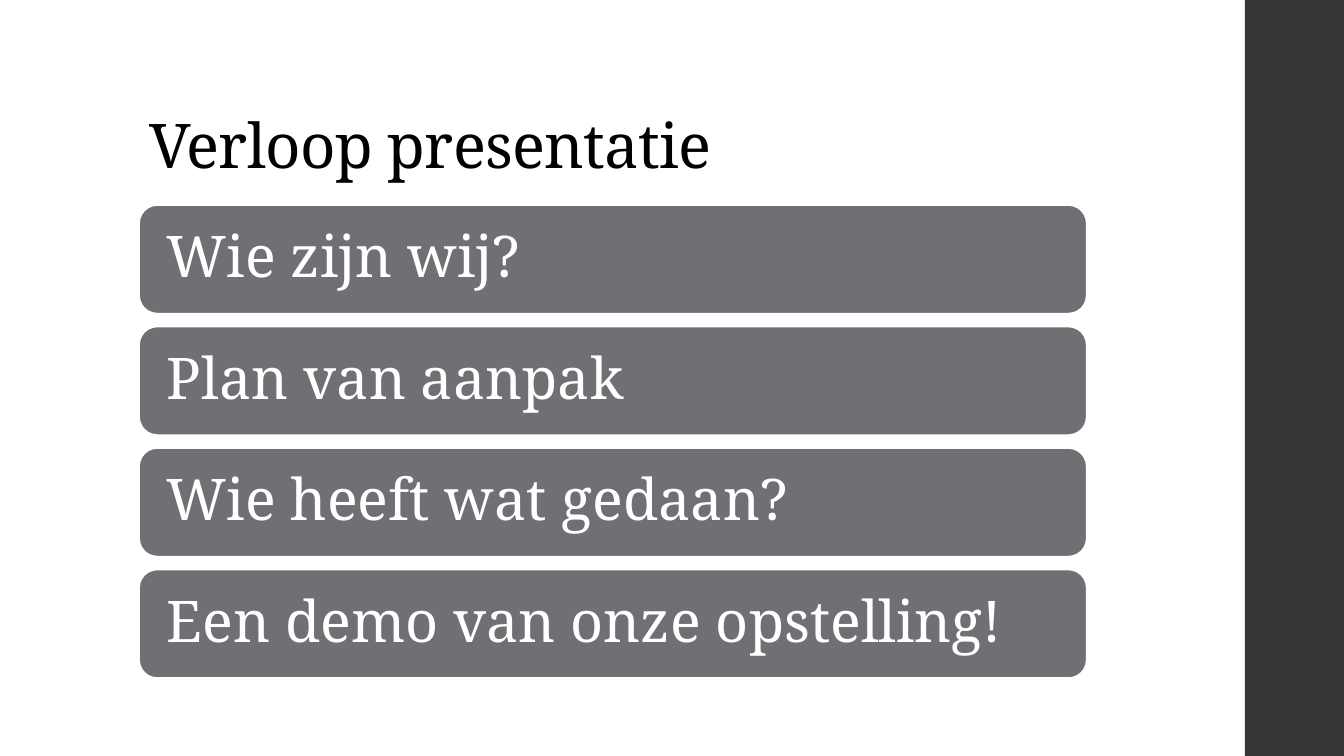
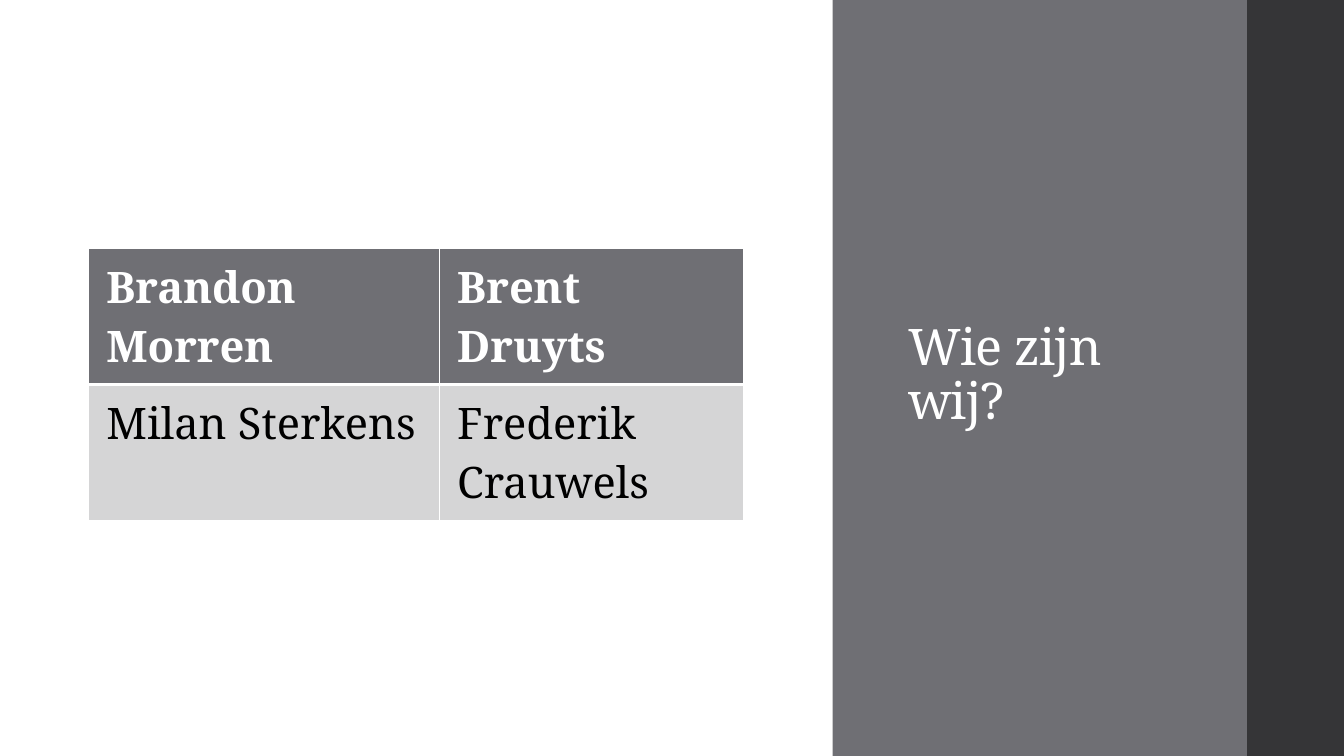
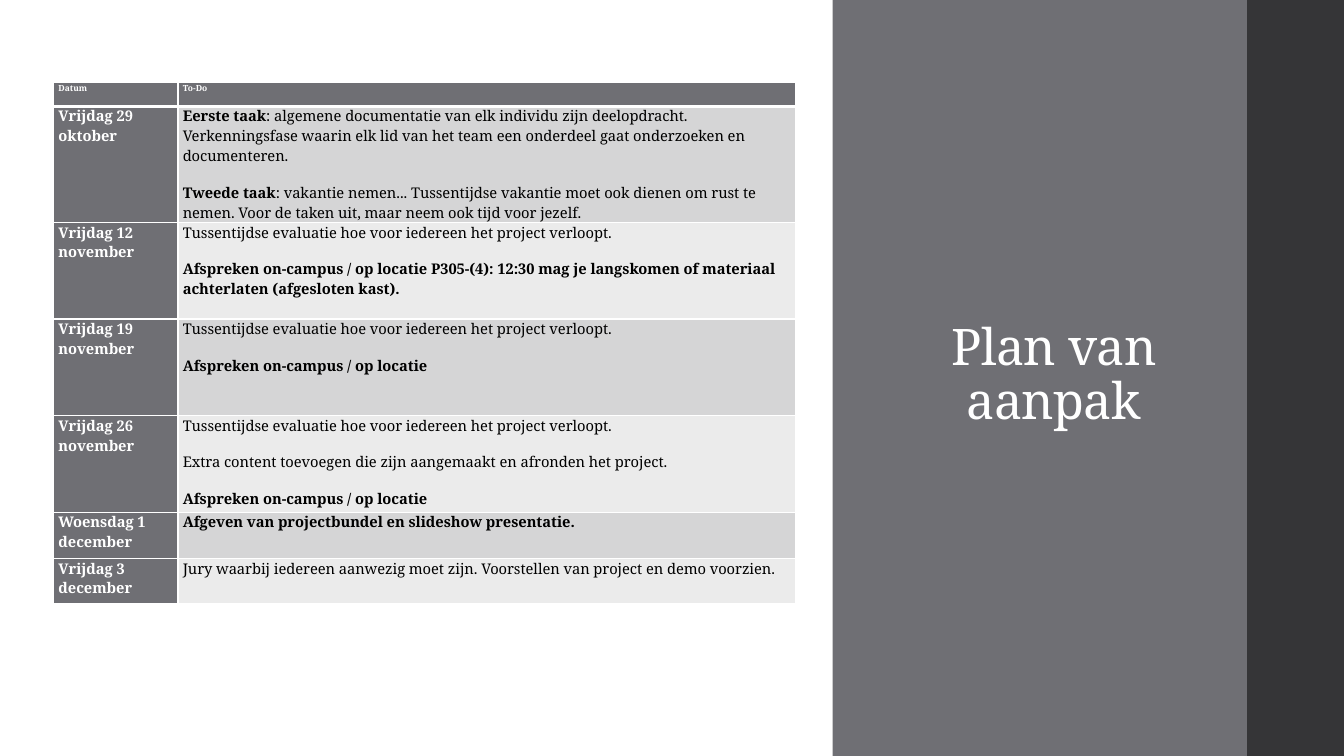
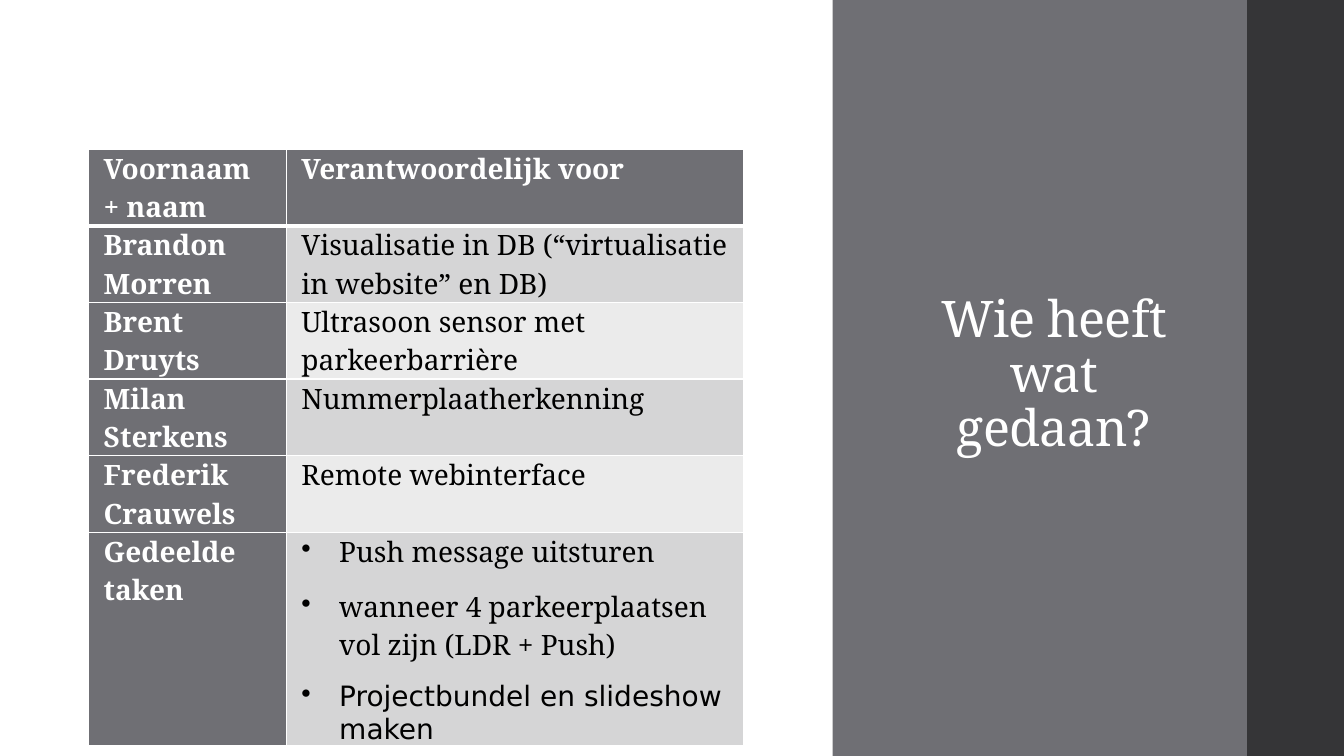
from dataclasses import dataclass

from lxml.etree import SubElement
from pptx import Presentation
from pptx.dml.color import RGBColor
from pptx.enum.shapes import MSO_SHAPE
from pptx.enum.text import MSO_ANCHOR, MSO_AUTO_SIZE, PP_ALIGN
from pptx.oxml import parse_xml
from pptx.oxml.ns import nsdecls, qn
from pptx.util import Pt

# Shared look
WIDTH, HEIGHT = 960, 540
WHITE, BLACK = "FFFFFF", "000000"
DARK, ACCENT = "353537", "6F6F74"
BANDS = ("EBEBEB", "D5D5D6")
SERIF, SANS = "Noto Serif", "DejaVu Sans"
EDGE_LEFT = 889.2
PANEL = (594.7, 0, 296, HEIGHT)
PANEL_TITLE = (641.5, 63.4, 222.5, 410.4)


@dataclass
class Run:
    text: str
    bold: bool = False
    font: str = SERIF


@dataclass
class Paragraph:
    runs: list
    bullet: bool = False


def plain(text):
    return Paragraph([Run(text)])


def bold(text):
    return Paragraph([Run(text, bold=True)])


def bullet(text, font=SERIF):
    return Paragraph([Run(text, font=font)], bullet=True)


def task(name, description):
    return Paragraph([Run(name, bold=True), Run(description)])


def color(hex_string):
    return RGBColor.from_string(hex_string)


def points(*lengths):
    return [Pt(length) for length in lengths]


def add_run(paragraph, text, size, ink, is_bold=False, font=SERIF):
    run = paragraph.add_run()
    run.text = text
    run.font.size, run.font.name, run.font.bold = Pt(size), font, is_bold
    run.font.color.rgb = color(ink)
    return run


def add_block(shapes, kind, box, fill):
    block = shapes.add_shape(kind, *points(*box))
    block.shadow.inherit = False
    block.fill.solid()
    block.fill.fore_color.rgb = color(fill)
    block.line.fill.background()
    return block


def send_to_back(shapes, block):
    # The first two children of a shape tree are its own properties
    shapes.element.insert(2, block.element)


def set_title(slide, text, box, size, ink, anchor, align=PP_ALIGN.LEFT):
    title = slide.shapes.title
    title.left, title.top, title.width, title.height = points(*box)
    frame = title.text_frame
    frame.word_wrap = True
    frame.auto_size = MSO_AUTO_SIZE.NONE
    frame.vertical_anchor = anchor
    heading = frame.paragraphs[0]
    heading.alignment, heading.line_spacing = align, 0.9
    run = add_run(heading, text, size, ink)
    run._r.get_or_add_rPr().set("spc", "-50")


def add_agenda(slide, box, topics, gap):
    """Stack equal rounded bars, one for each topic."""
    left, top, width, height = box
    bar_height = (height - gap * (len(topics) - 1)) / len(topics)
    for row, topic in enumerate(topics):
        bar_box = (left, top + row * (bar_height + gap), width, bar_height)
        bar = add_block(slide.shapes, MSO_SHAPE.ROUNDED_RECTANGLE, bar_box, ACCENT)
        bar.line.color.rgb = color(WHITE)
        bar.line.width = Pt(1.1)
        frame = bar.text_frame
        frame.word_wrap = True
        frame.vertical_anchor = MSO_ANCHOR.MIDDLE
        frame.margin_left = frame.margin_right = Pt(16)
        line = frame.paragraphs[0]
        line.alignment, line.line_spacing = PP_ALIGN.LEFT, 0.9
        add_run(line, topic, 41, WHITE)


def add_title_panel(slide, text, align):
    panel = add_block(slide.shapes, MSO_SHAPE.RECTANGLE, PANEL, ACCENT)
    send_to_back(slide.shapes, panel)
    set_title(slide, text, PANEL_TITLE, 36, WHITE, MSO_ANCHOR.MIDDLE, align)


def set_borders(cell, top, bottom):
    properties = cell._tc.get_or_add_tcPr()
    widths = {"lnL": 1, "lnR": 1, "lnT": top, "lnB": bottom}
    for position, (side, width) in enumerate(widths.items()):
        properties.insert(position, parse_xml(
            f'<a:{side} {nsdecls("a")} w="{Pt(width)}"><a:solidFill>'
            f'<a:srgbClr val="{WHITE}"/></a:solidFill></a:{side}>'))


def fill_cell(cell, paragraphs, size, ink, space_after):
    frame = cell.text_frame
    for index, content in enumerate(paragraphs):
        line = frame.add_paragraph() if index else frame.paragraphs[0]
        line.space_after = Pt(space_after)
        if content.bullet:
            properties = line._p.get_or_add_pPr()
            properties.set("marL", str(Pt(27)))
            properties.set("indent", str(Pt(-27)))
            SubElement(properties, qn("a:buChar")).set("char", "•")
        for run in content.runs:
            add_run(line, run.text, size, ink, run.bold, run.font)


def add_grid(slide, origin, columns, heights, rows, size, margins,
             header_size=None, labels=True, space_after=12):
    """Place a table with a dark header row and, if asked, a dark label column."""
    grid = slide.shapes.add_table(
        len(rows), len(columns),
        *points(*origin, sum(columns), sum(heights))).table
    grid.horz_banding = False
    for column, width in zip(grid.columns, columns):
        column.width = Pt(width)
    for r, (height, contents) in enumerate(zip(heights, rows)):
        grid.rows[r].height = Pt(height)
        for c, paragraphs in enumerate(contents):
            dark = r == 0 or (labels and c == 0)
            cell = grid.cell(r, c)
            cell.margin_left = cell.margin_right = Pt(margins[0])
            cell.margin_top = cell.margin_bottom = Pt(margins[1])
            cell.fill.solid()
            cell.fill.fore_color.rgb = color(ACCENT if dark else BANDS[r % 2])
            set_borders(cell, top=3 if r == 1 else 1, bottom=3 if r == 0 else 1)
            text_size = header_size if header_size and r == 0 else size
            fill_cell(cell, paragraphs, text_size, WHITE if dark else BLACK, space_after)


def agenda_slide(slide):
    set_title(slide, "Verloop presentatie", (99.4, 28.8, 763.2, 104.4), 44, BLACK,
              MSO_ANCHOR.BOTTOM)
    add_agenda(slide, (99.4, 146.5, 676.8, 337.8),
               ["Wie zijn wij?", "Plan van aanpak", "Wie heeft wat gedaan?",
                "Een demo van onze opstelling!"], gap=9.3)


def team_slide(slide):
    add_title_panel(slide, "Wie zijn wij?", PP_ALIGN.LEFT)
    members = [
        [[bold("Brandon Morren")], [bold("Brent Druyts")]],
        [[plain("Milan Sterkens")], [plain("Frederik Crauwels")]],
    ]
    add_grid(slide, (63.4, 177.5), [250.6, 217.4], [93, 93], members, 31,
             margins=(12.6, 6.3), labels=False, space_after=0)


def planning_slide(slide):
    add_title_panel(slide, "Plan van aanpak", PP_ALIGN.CENTER)
    evaluation = plain("Tussentijdse evaluatie hoe voor iedereen het project verloopt.")
    meeting = "Afspreken on-campus / op locatie"
    planning = [
        ("Datum", [bold("To-Do")]),
        ("Vrijdag 29 oktober", [
            task("Eerste taak", ": algemene documentatie van elk individu zijn "
                 "deelopdracht. Verkenningsfase waarin elk lid van het team een "
                 "onderdeel gaat onderzoeken en documenteren."),
            task("Tweede taak", ": vakantie nemen... Tussentijdse vakantie moet ook "
                 "dienen om rust te nemen. Voor de taken uit, maar neem ook tijd "
                 "voor jezelf.")]),
        ("Vrijdag 12 november", [
            evaluation,
            bold(meeting + " P305-(4): 12:30 mag je langskomen of materiaal "
                 "achterlaten (afgesloten kast).")]),
        ("Vrijdag 19 november", [evaluation, bold(meeting)]),
        ("Vrijdag 26 november", [
            evaluation,
            plain("Extra content toevoegen die zijn aangemaakt en afronden het project."),
            bold(meeting)]),
        ("Woensdag 1 december", [
            bold("Afgeven van projectbundel en slideshow presentatie.")]),
        ("Vrijdag 3 december", [
            plain("Jury waarbij iedereen aanwezig moet zijn. Voorstellen van project "
                  "en demo voorzien.")]),
    ]
    add_grid(slide, (38.4, 59), [88.8, 440.8], [17, *[69] * 4, 33, 32.6],
             [[[bold(date)], todo] for date, todo in planning], 10.5,
             margins=(3.4, 0), header_size=6)


def roles_slide(slide):
    add_title_panel(slide, "Wie heeft wat gedaan?", PP_ALIGN.CENTER)
    roles = [
        ("Voornaam + naam", [bold("Verantwoordelijk voor")]),
        ("Brandon Morren", [plain("Visualisatie in DB (“virtualisatie in website” en DB)")]),
        ("Brent Druyts", [plain("Ultrasoon sensor met parkeerbarrière")]),
        ("Milan Sterkens", [plain("Nummerplaatherkenning")]),
        ("Frederik Crauwels", [plain("Remote webinterface")]),
        ("Gedeelde taken", [
            bullet("Push message uitsturen"),
            bullet("wanneer 4 parkeerplaatsen vol zijn (LDR + Push)"),
            bullet("Projectbundel en slideshow maken", SANS)]),
    ]
    add_grid(slide, (63.4, 106.5), [141.2, 326.8], [*[50.4] * 5, 75],
             [[[bold(name)], duties] for name, duties in roles], 20,
             margins=(10.7, 0))


def main():
    deck = Presentation()
    deck.slide_width, deck.slide_height = points(WIDTH, HEIGHT)
    title_only = deck.slide_layouts[5]
    for build in (agenda_slide, team_slide, planning_slide, roles_slide):
        build(deck.slides.add_slide(title_only))

    # Dark edge, shared through the slide master
    edge = add_block(deck.slides[0].shapes, MSO_SHAPE.RECTANGLE,
                     (EDGE_LEFT, 0, WIDTH - EDGE_LEFT, HEIGHT), DARK)
    send_to_back(deck.slide_master.shapes, edge)
    deck.save("out.pptx")


main()
